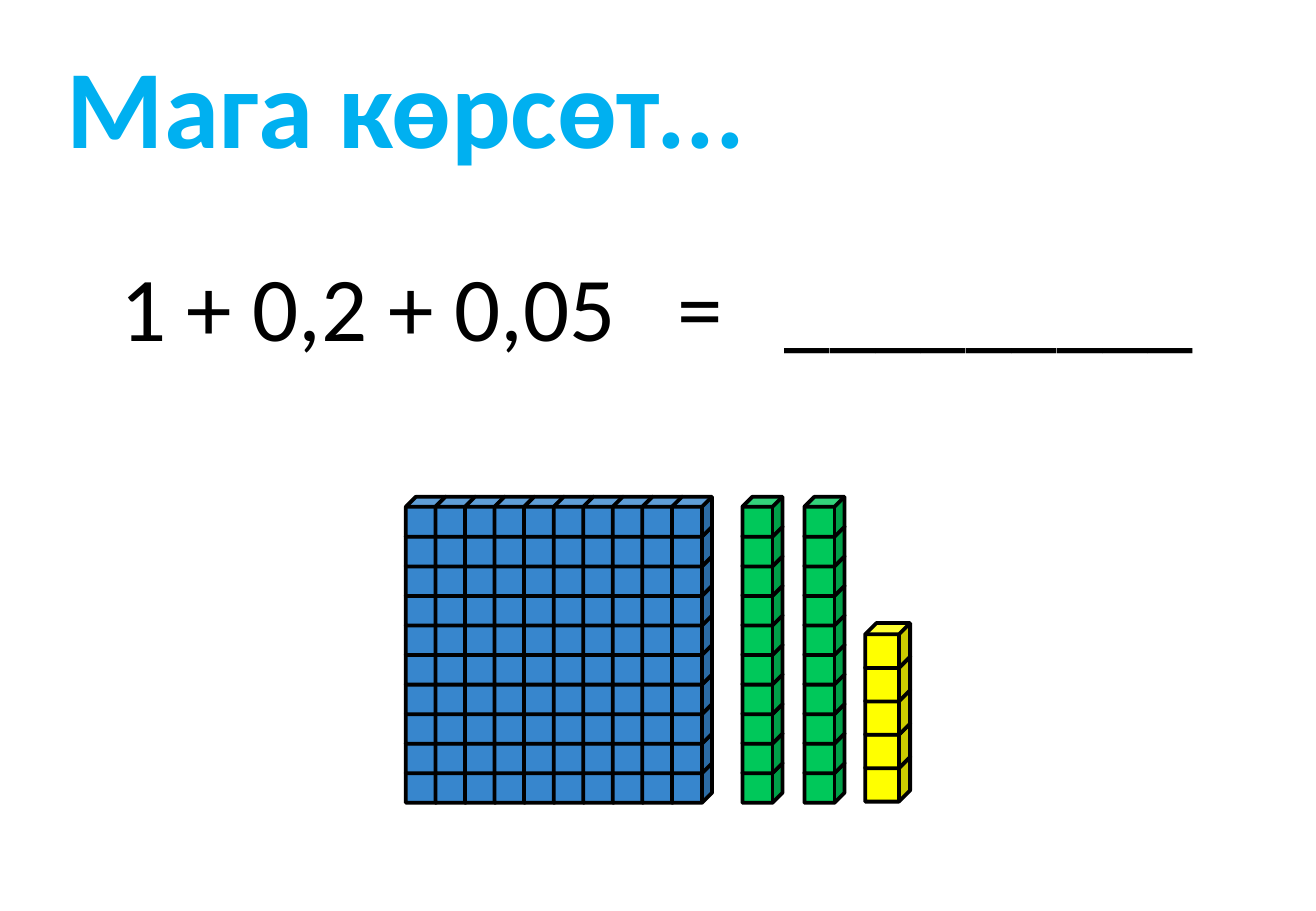
from lxml import etree
from pptx import Presentation
from pptx.dml.color import RGBColor
from pptx.enum.shapes import MSO_SHAPE
from pptx.enum.text import MSO_ANCHOR, MSO_AUTO_SIZE, PP_ALIGN
from pptx.oxml.ns import qn
from pptx.util import Inches, Pt

CUBE = MSO_SHAPE.CUBE
TOP = MSO_ANCHOR.TOP
NO_FIT = MSO_AUTO_SIZE.NONE
LEFT = PP_ALIGN.LEFT

FONT = "Calibri"
COLORS = {
    "title": "00B0F0",
    "ink": "000000",
    "whole": "3786CD",
    "tenth": "00C85A",
    "hundredth": "FFFF00",
}


def rgb(name):
    return RGBColor.from_string(COLORS[name])


def place(shape, left, top, width, height):
    shape.left, shape.top = Inches(left), Inches(top)
    shape.width, shape.height = Inches(width), Inches(height)


def write(box, text, size, color, bold=False, tabs=()):
    frame = box.text_frame
    frame.word_wrap = True
    frame.auto_size = NO_FIT
    frame.vertical_anchor = TOP
    para = frame.paragraphs[0]
    para.alignment = LEFT
    if tabs:
        tab_list = etree.SubElement(para._p.get_or_add_pPr(), qn("a:tabLst"))
        for position in tabs:
            etree.SubElement(tab_list, qn("a:tab"), pos=str(Inches(position)), algn="l")
    span = para.add_run()
    span.text = text
    span.font.name = FONT
    span.font.size = Pt(size)
    span.font.bold = bold
    span.font.color.rgb = rgb(color)


def add_cube(group, left, top, size, color):
    cube = group.shapes.add_shape(
        CUBE, Inches(left), Inches(top), Inches(size), Inches(size)
    )
    cube.shadow.inherit = False
    cube.fill.solid()
    cube.fill.fore_color.rgb = rgb(color)
    cube.line.color.rgb = rgb("ink")
    cube.line.width = Pt(2.25)


def add_block(page, left, bottom_cube, size, step, color, rows, columns=1):
    group = page.shapes.add_group_shape()
    for column in range(columns):
        for row in range(rows):
            add_cube(group, left + column * step, bottom_cube - row * step, size, color)


def main():
    deck = Presentation()
    deck.slide_width, deck.slide_height = Inches(10.83), Inches(7.5)
    page = deck.slides.add_slide(deck.slide_layouts[5])

    title = page.shapes.title
    place(title, 0.45, 0.26, 7.33, 1.21)
    write(title, "Мага көрсөт...", size=66, color="title", bold=True)

    equation = page.shapes.add_textbox(0, 0, 0, 0)
    place(equation, 0.89, 2.01, 9.18, 1.01)
    write(equation, "1 + 0,2 + 0,05\t=\t_________", size=54, color="ink", tabs=(4.59, 5.47))

    step = 2.19 / 9
    for left in (6.11, 6.62):
        add_block(page, left, 6.28, 0.33, step, "tenth", rows=10)
    add_block(page, 3.34, 6.28, 0.33, step, "whole", rows=10, columns=10)
    add_block(page, 7.12, 6.23, 0.37, 1.1 / 4, "hundredth", rows=5)

    deck.save("out.pptx")


if __name__ == "__main__":
    main()
